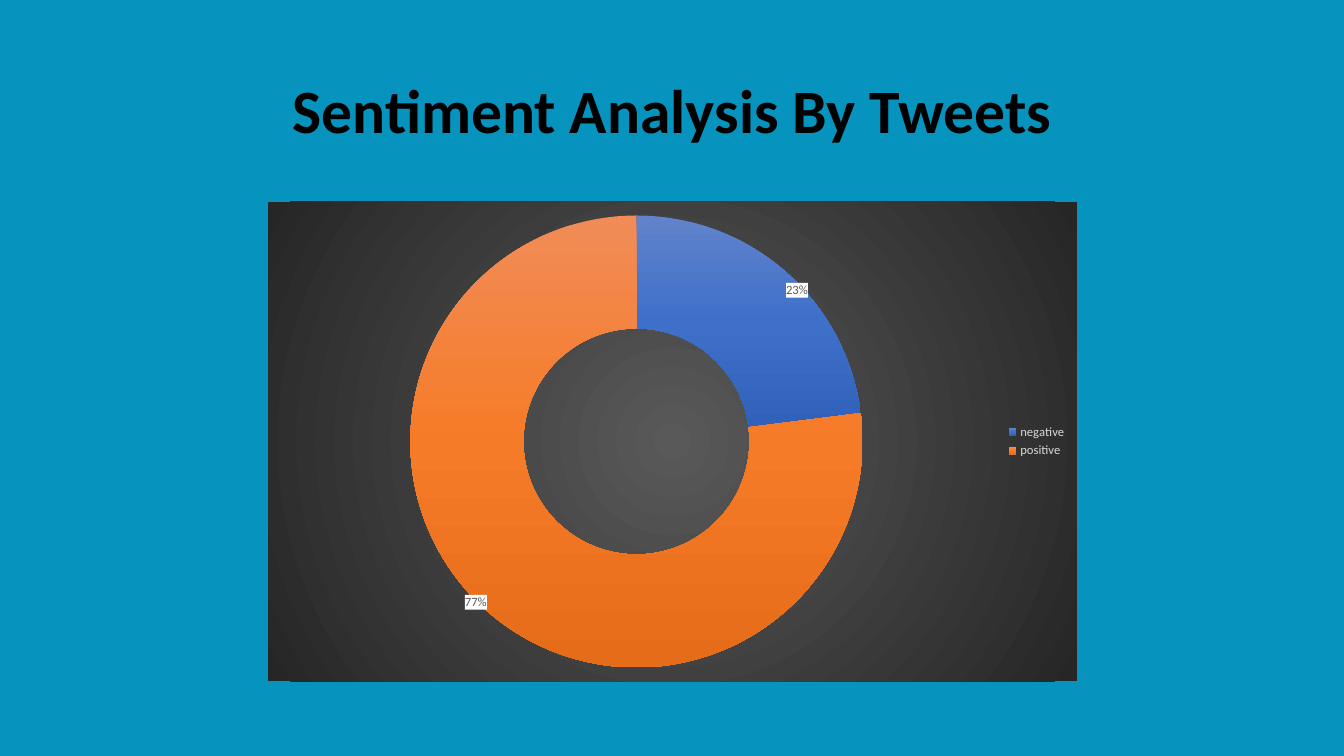
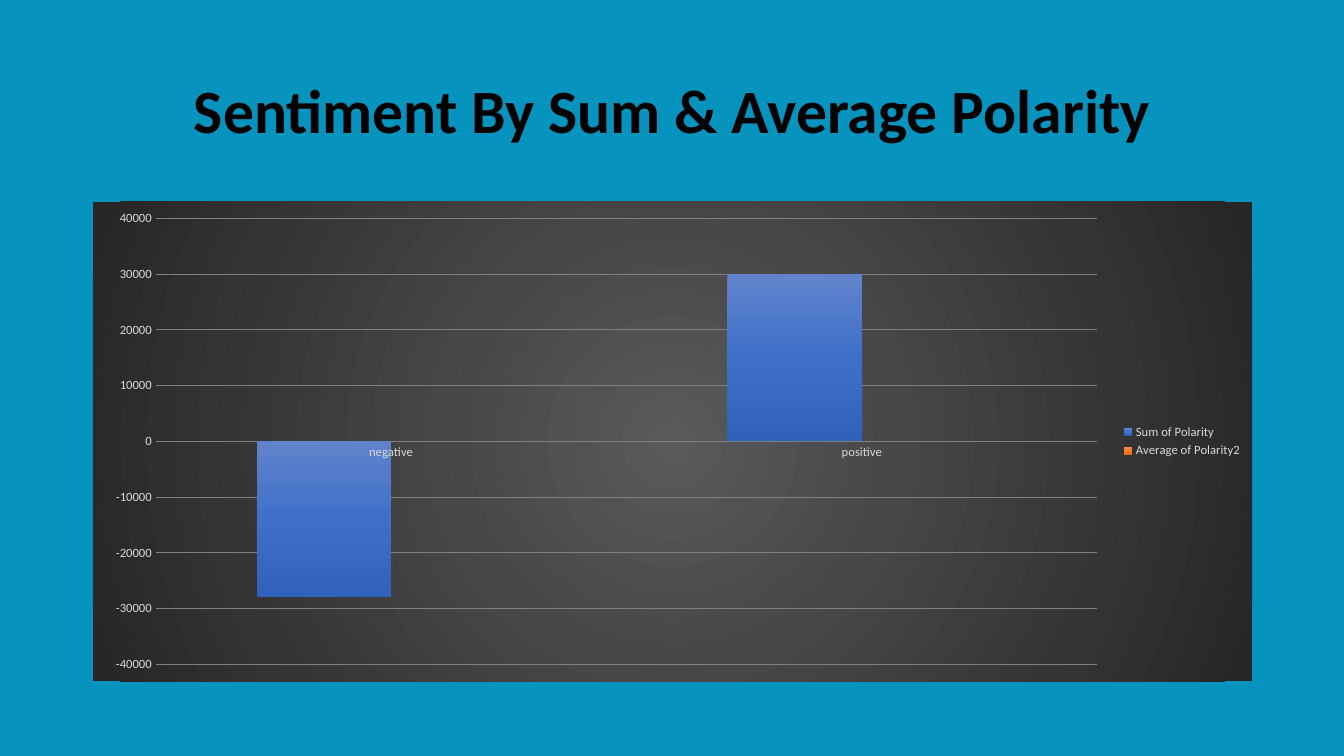
from dataclasses import dataclass

from lxml import etree
from pptx import Presentation
from pptx import util as u
from pptx.chart import data as chart_data
from pptx.dml import color
from pptx.enum import chart as ch
from pptx.enum import text
from pptx.oxml import ns

COLORS = {
    "background": "0693BE",
    "title": "000000",
    "legend": "D9D9D9",
    "gridline": "808080",
    "label": "595959",
    "label_box": "FFFFFF",
}
FONT = "Calibri"
CATEGORIES = ("negative", "positive")
PANEL_STOPS = ((0, "595959"), (100, "262626"))
BLUE_STOPS = ((0, "6183CB"), (50, "3E70CA"), (100, "3062BB"))
ORANGE_STOPS = ((0, "F18C57"), (50, "F67B28"), (100, "E56C19"))
SERIES_STOPS = (BLUE_STOPS, ORANGE_STOPS)
LABEL_OFFSETS = ((0.06, -0.05), (-0.06, 0.07))
LINEAR = '<a:lin ang="5400000" scaled="0"/>'
RADIAL = ('<a:path path="circle">'
          '<a:fillToRect l="50000" t="50000" r="50000" b="50000"/></a:path>')
NAMESPACES = ns.nsdecls("a", "c")


@dataclass(frozen=True)
class ChartSlide:
    title: str
    kind: ch.XL_CHART_TYPE
    left: float
    width: float
    series: dict[str, tuple[int, int]]


CHART_SLIDES = (
    ChartSlide("Sentiment Analysis By Tweets", ch.XL_CHART_TYPE.DOUGHNUT,
               2.66, 8.02, {"Series 1": (23, 77)}),
    ChartSlide("Sentiment By Sum & Average Polarity",
               ch.XL_CHART_TYPE.COLUMN_CLUSTERED, 0.92, 11.5,
               {"Sum of Polarity": (-28000, 30000),
                "Average of Polarity2": (0, 0)}),
)


def rgb(name: str) -> color.RGBColor:
    return color.RGBColor.from_string(COLORS[name])


def style_font(font, size: float, name: str, bold: bool = False) -> None:
    font.name = FONT
    font.size = u.Pt(size)
    font.bold = bold
    font.color.rgb = rgb(name)


def paint_gradient(properties, stops, direction: str = LINEAR) -> None:
    marks = "".join(f'<a:gs pos="{place * 1000}"><a:srgbClr val="{tone}"/></a:gs>'
                    for place, tone in stops)
    properties.append(etree.fromstring(
        f'<a:gradFill {NAMESPACES} rotWithShape="1">'
        f"<a:gsLst>{marks}</a:gsLst>{direction}</a:gradFill>"))
    properties.append(etree.fromstring(
        f"<a:ln {NAMESPACES}><a:noFill/></a:ln>"))


def add_title(slide, wording: str) -> None:
    title = slide.shapes.add_textbox(
        u.Inches(0.92), u.Inches(0.4), u.Inches(11.5), u.Inches(1.45))
    frame = title.text_frame
    frame.text = wording
    frame.word_wrap = True
    frame.vertical_anchor = text.MSO_ANCHOR.MIDDLE
    line = frame.paragraphs[0]
    line.alignment = text.PP_ALIGN.CENTER
    line.line_spacing = 0.9
    style_font(line.runs[0].font, 44, "title", bold=True)


def label_xml(index: int, offset: tuple[float, float]) -> str:
    x, y = offset
    return (
        f'<c:dLbl><c:idx val="{index}"/><c:layout><c:manualLayout>'
        f'<c:x val="{x}"/><c:y val="{y}"/></c:manualLayout></c:layout>'
        '<c:numFmt formatCode="0%" sourceLinked="0"/>'
        f'<c:spPr><a:solidFill><a:srgbClr val="{COLORS["label_box"]}"/>'
        '</a:solidFill><a:ln><a:noFill/></a:ln></c:spPr>'
        '<c:txPr><a:bodyPr/><a:p><a:pPr><a:defRPr sz="900" b="0"><a:solidFill>'
        f'<a:srgbClr val="{COLORS["label"]}"/></a:solidFill>'
        f'<a:latin typeface="{FONT}"/></a:defRPr></a:pPr></a:p></c:txPr>'
        '<c:showLegendKey val="0"/><c:showVal val="0"/><c:showCatName val="0"/>'
        '<c:showSerName val="0"/><c:showPercent val="1"/>'
        '<c:showBubbleSize val="0"/></c:dLbl>')


def style_doughnut(chart) -> None:
    plot = chart.plots[0]
    plot.vary_by_categories = True
    ring = plot.series[0]._element
    for index, stops in enumerate(SERIES_STOPS):
        segment = ring.get_or_add_dPt_for_point(index)
        paint_gradient(segment.get_or_add_spPr(), stops)
    labels = "".join(label_xml(i, offset) for i, offset in enumerate(LABEL_OFFSETS))
    ring.find(ns.qn("c:cat")).addprevious(etree.fromstring(
        f'<c:dLbls {NAMESPACES}>{labels}<c:showLegendKey val="0"/>'
        '<c:showVal val="0"/><c:showCatName val="0"/><c:showSerName val="0"/>'
        '<c:showPercent val="1"/><c:showBubbleSize val="0"/>'
        '<c:showLeaderLines val="0"/></c:dLbls>'))
    plot._element.find(ns.qn("c:holeSize")).set("val", "75")


def style_columns(chart) -> None:
    plot = chart.plots[0]
    plot.vary_by_categories = False
    plot.gap_width = 150
    for series, stops in zip(plot.series, SERIES_STOPS):
        series.invert_if_negative = False
        paint_gradient(series._element.get_or_add_spPr(), stops)
    for axis in (chart.category_axis, chart.value_axis):
        axis.major_tick_mark = ch.XL_TICK_MARK.NONE
        axis.minor_tick_mark = ch.XL_TICK_MARK.NONE
        axis.format.line.fill.background()
        style_font(axis.tick_labels.font, 9, "legend")
    polarity = chart.value_axis
    polarity.minimum_scale = -40000
    polarity.maximum_scale = 40000
    polarity.major_unit = 10000
    gridline = polarity.major_gridlines.format.line
    gridline.color.rgb = rgb("gridline")
    gridline.width = u.Pt(0.75)


def add_sentiment_chart(slide, content: ChartSlide) -> None:
    sentiment = chart_data.CategoryChartData()
    sentiment.categories = CATEGORIES
    for name, values in content.series.items():
        sentiment.add_series(name, values)
    chart = slide.shapes.add_chart(
        content.kind, u.Inches(content.left), u.Inches(2),
        u.Inches(content.width), u.Inches(4.76), sentiment).chart
    chart.has_title = False
    style_font(chart.font, 10, "title")
    chart.has_legend = True
    chart.legend.position = ch.XL_LEGEND_POSITION.RIGHT
    chart.legend.include_in_layout = False
    style_font(chart.legend.font, 9, "legend")
    panel = etree.fromstring(f"<c:spPr {NAMESPACES}/>")
    paint_gradient(panel, PANEL_STOPS, RADIAL)
    chart._chartSpace.find(ns.qn("c:chart")).addnext(panel)
    if content.kind == ch.XL_CHART_TYPE.DOUGHNUT:
        style_doughnut(chart)
    else:
        style_columns(chart)


def main() -> None:
    deck = Presentation()
    deck.slide_width = u.Inches(13.33)
    deck.slide_height = u.Inches(7.5)
    for content in CHART_SLIDES:
        slide = deck.slides.add_slide(deck.slide_layouts[6])
        slide.background.fill.solid()
        slide.background.fill.fore_color.rgb = rgb("background")
        add_title(slide, content.title)
        add_sentiment_chart(slide, content)
    deck.save("out.pptx")


if __name__ == "__main__":
    main()
